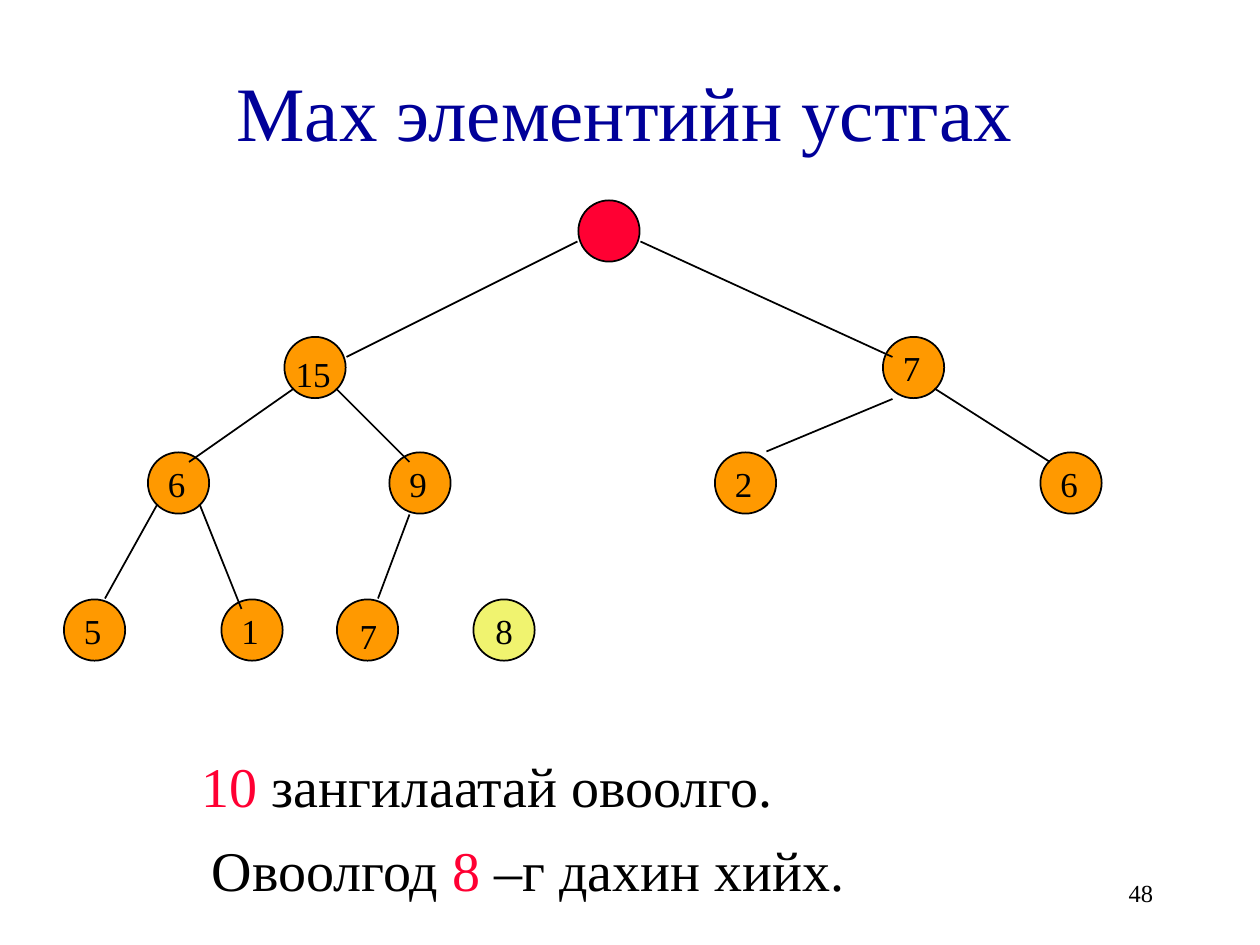
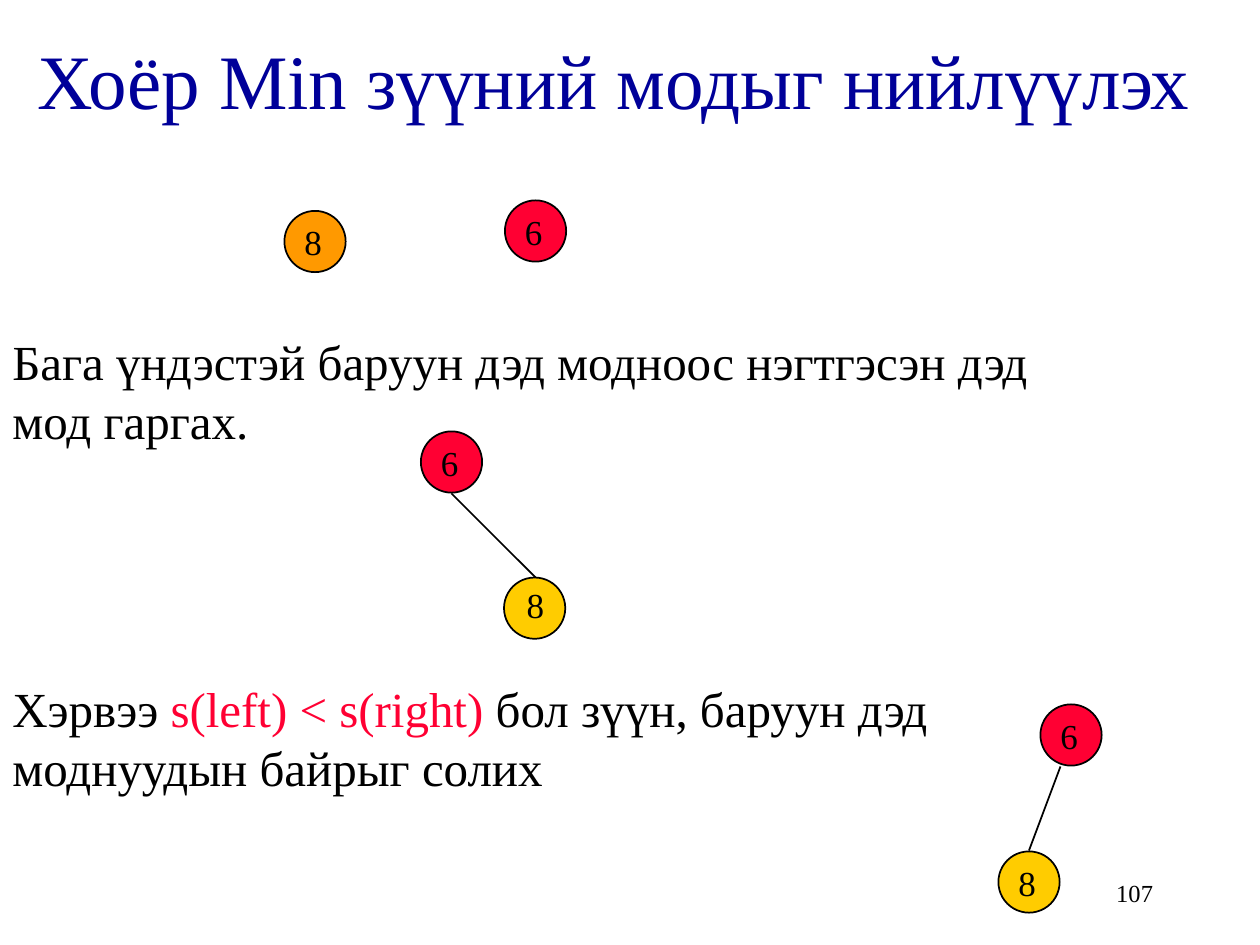
from lxml.etree import SubElement
from pptx import Presentation
from pptx.dml.color import RGBColor
from pptx.enum.shapes import MSO_CONNECTOR as Connector, MSO_SHAPE as Shape
from pptx.enum.text import MSO_ANCHOR as Anchor, PP_ALIGN as Align
from pptx.oxml.ns import qn
from pptx.util import Pt

THEME = {
    "font": "Times New Roman",
    "colors": {"title": "000099", "text": "000000", "accent": "FF0033",
               "root": "FF0033", "node": "FF9900", "last": "F0F36F", "child": "FFCC00"},
    "sizes": {"title": 44, "lead": 32, "body": 28, "node": 20, "number": 14},
}
NODE_SIZE = 35
LINE_WIDTH = 1
LABEL = (-1, 0)
LOW_LABEL = (-1, 3.4)
NUMBER_BOX = (516, 492, 150, 36)

SLIDES = [
    {
        "title": ("Max элементийн устгах", (6, 18, 702, 90)),
        "number": "48",
        "texts": [
            ("lead", (108, 426, 504, 36),
             [("10 ", "accent"), ("зангилаатай овоолго.", "text")]),
            ("lead", (114, 474, 504, 45),
             [("Овоолгод ", "text"), ("8 ", "accent"), ("–г дахин хийх.", "text")]),
        ],
        "nodes": [
            ("", (348, 132), "root", LABEL),
            ("15", (180, 210), "node", LOW_LABEL),
            ("7", (522, 210), "node", LABEL),
            ("6", (102, 276), "node", LABEL),
            ("9", (240, 276), "node", LABEL),
            ("2", (426, 276), "node", LABEL),
            ("6", (612, 276), "node", LABEL),
            ("5", (54, 360), "node", LABEL),
            ("1", (144, 360), "node", LABEL),
            ("7", (210, 360), "node", (0.5, 3)),
            ("8", (288, 360), "last", (0, 0)),
        ],
        "edges": [
            ((330, 138), (198, 204)), ((366, 138), (510, 204)),
            ((168, 222), (108, 264)), ((192, 222), (234, 264)),
            ((510, 228), (438, 258)), ((534, 222), (600, 264)),
            ((90, 288), (60, 342)), ((114, 288), (138, 348)),
            ((234, 294), (216, 342)),
        ],
    },
    {
        "title": ("Хоёр Min зүүний модыг нийлүүлэх", (0, 0, 702, 90)),
        "number": "107",
        "texts": [
            ("body", (0, 384, 588, 75),
             [("Хэрвээ ", "text"), ("s(left) < s(right)", "accent"),
              (" бол зүүн, баруун дэд моднуудын байрыг солих", "text")]),
            ("body", (0, 186, 630, 75),
             [("Бага үндэстэй баруун дэд модноос нэгтгэсэн дэд мод гаргах.", "text")]),
        ],
        "nodes": [
            ("8", (180, 138), "node", LABEL),
            ("6", (306, 132), "root", LABEL),
            ("6", (258, 264), "root", LABEL),
            ("8", (305.5, 347.5), "child", (0.5, -2)),
            ("6", (612, 420), "root", LABEL),
            ("8", (588, 504), "child", LABEL),
        ],
        "edges": [((258, 282), (306, 330)), ((606, 438), (588, 486))],
    },
]


def apply(target, values):
    for name, value in values.items():
        setattr(target, name, value)


def color(role):
    return RGBColor.from_string(THEME["colors"][role])


def write(frame, spans, size, align=Align.LEFT, **frame_format):
    apply(frame, {"word_wrap": True, **frame_format})
    para = frame.paragraphs[0]
    para.alignment = align
    for text, role in spans:
        span = para.add_run()
        span.text = text
        apply(span.font, {"name": THEME["font"], "size": Pt(THEME["sizes"][size])})
        span.font.color.rgb = color(role)


def add_text(page, area, spans, size, **text_format):
    box = page.shapes.add_textbox(*map(Pt, area))
    write(box.text_frame, spans, size, **text_format)


def outline(shape):
    shape.line.color.rgb = color("text")
    shape.line.width = Pt(LINE_WIDTH)


def add_node(page, label, center, role, offset):
    corner = [Pt(place - NODE_SIZE / 2) for place in center]
    node = page.shapes.add_shape(Shape.OVAL, *corner, Pt(NODE_SIZE), Pt(NODE_SIZE))
    node.shadow.inherit = False
    node.fill.solid()
    node.fill.fore_color.rgb = color(role)
    outline(node)
    if label:
        across, down = offset
        write(node.text_frame, [(label, "text")], "node", Align.CENTER,
              vertical_anchor=Anchor.MIDDLE,
              margin_left=Pt(max(2 * across, 0)), margin_right=Pt(max(-2 * across, 0)),
              margin_top=Pt(max(2 * down, 0)), margin_bottom=Pt(max(-2 * down, 0)))


def add_edge(page, start, end):
    edge = page.shapes.add_connector(Connector.STRAIGHT, *map(Pt, start + end))
    outline(edge)
    SubElement(edge._element.spPr, qn("a:effectLst"))


def add_page(deck, content):
    page = deck.slides.add_slide(deck.slide_layouts[6])
    title, area = content["title"]
    add_text(page, area, [(title, "title")], "title",
             align=Align.CENTER, vertical_anchor=Anchor.MIDDLE)
    for size, area, spans in content["texts"]:
        add_text(page, area, spans, size)
    for node in content["nodes"]:
        add_node(page, *node)
    for edge in content["edges"]:
        add_edge(page, *edge)
    add_text(page, NUMBER_BOX, [(content["number"], "text")], "number",
             align=Align.RIGHT, vertical_anchor=Anchor.MIDDLE)


def main():
    deck = Presentation()
    apply(deck, {"slide_width": Pt(720), "slide_height": Pt(540)})
    for content in SLIDES:
        add_page(deck, content)
    deck.save("out.pptx")


if __name__ == "__main__":
    main()
